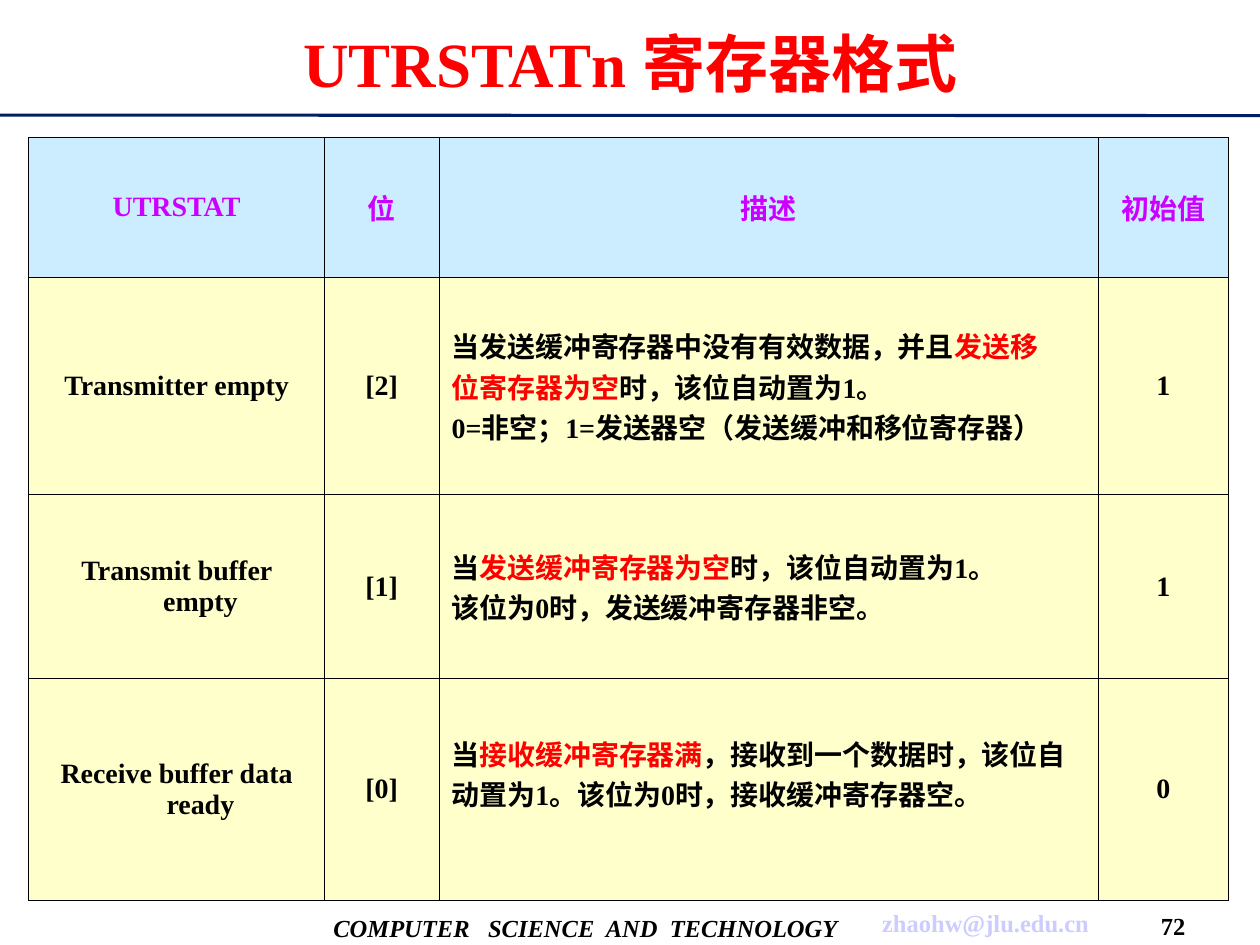
from dataclasses import dataclass

from lxml.etree import SubElement
from pptx import Presentation
from pptx.dml.color import RGBColor as RGB
from pptx.enum.shapes import MSO_CONNECTOR
from pptx.enum.text import MSO_ANCHOR, PP_ALIGN
from pptx.oxml.ns import qn
from pptx.util import Cm, Pt

TITLE = "UTRSTATn 寄存器格式"
HEADINGS = ["UTRSTAT", "位", "描述", "初始值"]
# Text between two bars is emphasised.
REGISTER_BITS = [
    ("Transmitter empty", "[2]",
     ["当发送缓冲寄存器中没有有效数据，并且|发送移|",
      "|位寄存器为空|时，该位自动置为1。",
      "0=非空；1=发送器空（发送缓冲和移位寄存器）"], "1"),
    ("Transmit buffer empty", "[1]",
     ["当|发送缓冲寄存器为空|时，该位自动置为1。",
      "该位为0时，发送缓冲寄存器非空。"], "1"),
    ("Receive buffer data ready", "[0]",
     ["当|接收缓冲寄存器满|，接收到一个数据时，该位自",
      "动置为1。该位为0时，接收缓冲寄存器空。"], "0"),
]
DESCRIPTION = HEADINGS.index("描述")


@dataclass(frozen=True)
class Theme:
    font: str = "Times New Roman"
    title_size: int = 36
    table_size: int = 16
    footer_size: int = 14
    ink: str = "000000"
    accent: str = "FF0000"
    heading: str = "CC00FF"
    heading_fill: str = "CCECFF"
    body_fill: str = "FFFFCC"
    rule: str = "001E64"
    email: str = "CCCCFF"


THEME = Theme()

# text, colour, italic, (left, top, width, height) in cm
FOOTERS = [
    ("COMPUTER   SCIENCE  AND  TECHNOLOGY", THEME.ink, True, (6.36, 18.16, 10.9, 1.07)),
    ("zhaohw@jlu.edu.cn", THEME.email, False, (17.37, 18.14, 5, 0.91)),
    ("72", THEME.ink, False, (23.09, 18.26, 1.12, 0.79)),
]
COLUMN_WIDTHS = [5.96, 2.31, 13.29, 2.62]
ROW_HEIGHTS = [2.82, 4.38, 3.71, 4.47]
TABLE_LEFT, TABLE_TOP = 0.58, 2.77
HANGING_INDENT = 0.96
LAST_DESCRIPTION_BOTTOM = 0.77


def cm_box(values):
    return [Cm(value) for value in values]


def style_font(font, size, colour, italic=False):
    font.name, font.size = THEME.font, Pt(size)
    font.bold, font.italic = True, italic
    font.color.rgb = RGB.from_string(colour)


def write_marked(paragraph, marked, colour):
    """Write text whose parts between bars take the accent colour."""
    for index, part in enumerate(marked.split("|")):
        if part:
            run = paragraph.add_run()
            run.text = part
            style_font(run.font, THEME.table_size, THEME.accent if index % 2 else colour)


def border_cell(cell):
    properties = cell._tc.get_or_add_tcPr()
    for side in ("lnL", "lnR", "lnT", "lnB"):
        border = SubElement(properties, qn(f"a:{side}"), w=str(Pt(0.45)))
        fill = SubElement(border, qn("a:solidFill"))
        SubElement(fill, qn("a:srgbClr"), val=THEME.ink)


def fill_cell(cell, lines, colour, background, align):
    border_cell(cell)
    cell.fill.solid()
    cell.fill.fore_color.rgb = RGB.from_string(background)
    cell.vertical_anchor = MSO_ANCHOR.MIDDLE
    frame = cell.text_frame
    for index, line in enumerate(lines):
        paragraph = frame.add_paragraph() if index else frame.paragraphs[0]
        paragraph.alignment = align
        properties = paragraph._p.get_or_add_pPr()
        properties.set("marL", str(Cm(HANGING_INDENT)))
        properties.set("indent", str(-Cm(HANGING_INDENT)))
        write_marked(paragraph, line, colour)


def add_title(slide):
    title = slide.shapes.title
    title.left, title.top, title.width, title.height = cm_box((0.81, 0.2, 23.8, 2.11))
    frame = title.text_frame
    frame.text = TITLE
    frame.vertical_anchor = MSO_ANCHOR.MIDDLE
    paragraph = frame.paragraphs[0]
    paragraph.alignment = PP_ALIGN.CENTER
    style_font(paragraph.runs[0].font, THEME.title_size, THEME.accent)


def add_rule(slide):
    rule = slide.shapes.add_connector(MSO_CONNECTOR.STRAIGHT, *cm_box((0, 2.32, 25.4, 2.33)))
    rule.line.color.rgb = RGB.from_string(THEME.rule)
    rule.line.width = Pt(1.75)
    SubElement(rule._element.spPr, qn("a:effectLst"))


def add_footers(slide):
    for text, colour, italic, box in FOOTERS:
        frame = slide.shapes.add_textbox(*cm_box(box)).text_frame
        frame.text = text
        frame.word_wrap = False
        frame.vertical_anchor = MSO_ANCHOR.MIDDLE
        paragraph = frame.paragraphs[0]
        paragraph.alignment = PP_ALIGN.CENTER
        style_font(paragraph.runs[0].font, THEME.footer_size, colour, italic)


def add_register_table(slide):
    rows = [HEADINGS, *REGISTER_BITS]
    size = (sum(COLUMN_WIDTHS), sum(ROW_HEIGHTS))
    table = slide.shapes.add_table(len(rows), len(HEADINGS),
                                   *cm_box((TABLE_LEFT, TABLE_TOP, *size))).table
    table.first_row = table.horz_banding = False
    for column, width in zip(table.columns, COLUMN_WIDTHS):
        column.width = Cm(width)
    for row, height in zip(table.rows, ROW_HEIGHTS):
        row.height = Cm(height)
    for r, row in enumerate(rows):
        colour, background = ((THEME.ink, THEME.body_fill) if r
                              else (THEME.heading, THEME.heading_fill))
        for c, content in enumerate(row):
            lines = [content] if isinstance(content, str) else content
            align = PP_ALIGN.LEFT if r and c == DESCRIPTION else PP_ALIGN.CENTER
            fill_cell(table.cell(r, c), lines, colour, background, align)
    table.cell(len(rows) - 1, DESCRIPTION).margin_bottom = Cm(LAST_DESCRIPTION_BOTTOM)


def main():
    presentation = Presentation()
    presentation.slide_width, presentation.slide_height = Cm(25.4), Cm(19.05)
    slide = presentation.slides.add_slide(presentation.slide_layouts.get_by_name("Title Only"))
    add_rule(slide)
    add_footers(slide)
    add_title(slide)
    add_register_table(slide)
    presentation.save("out.pptx")


if __name__ == "__main__":
    main()
